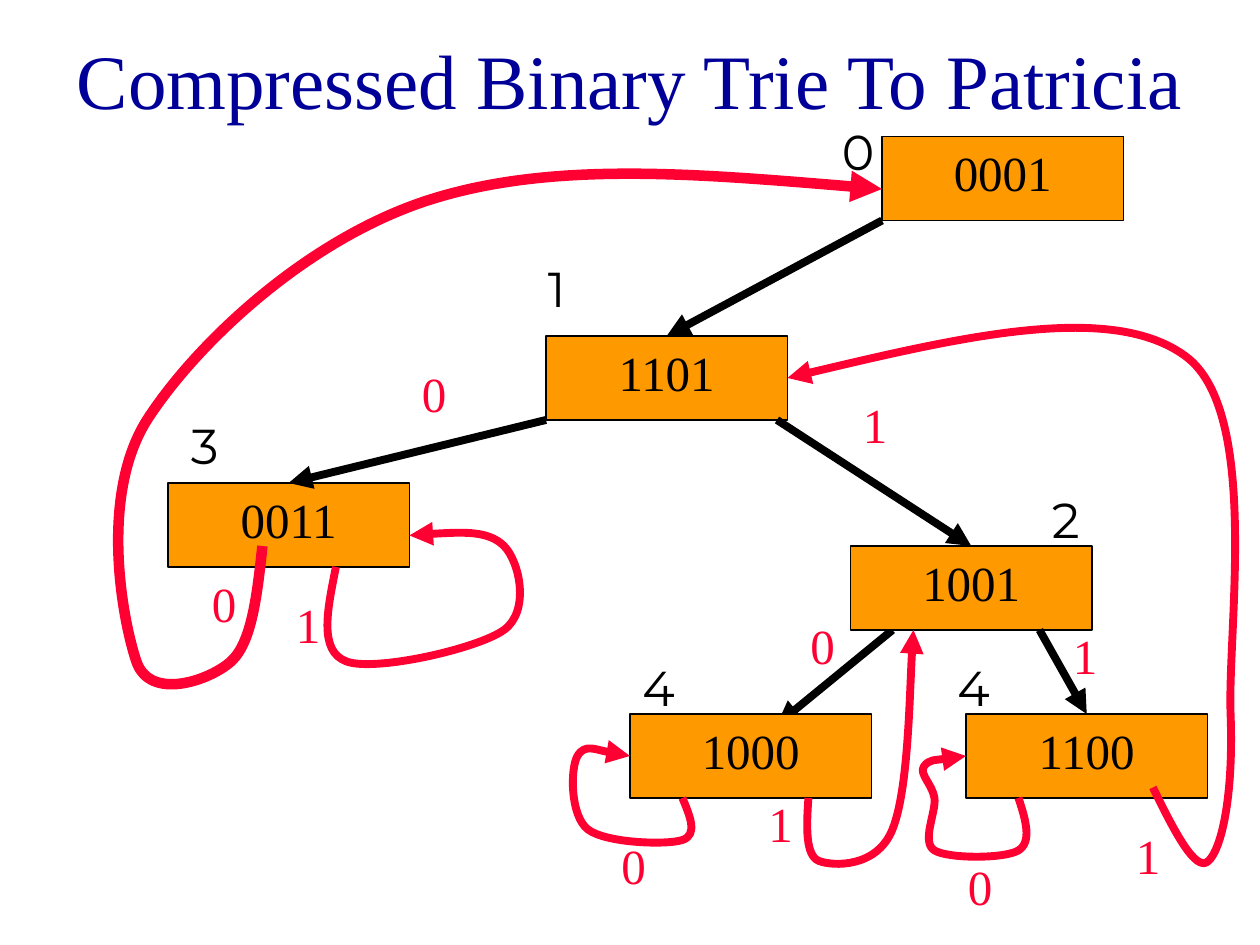
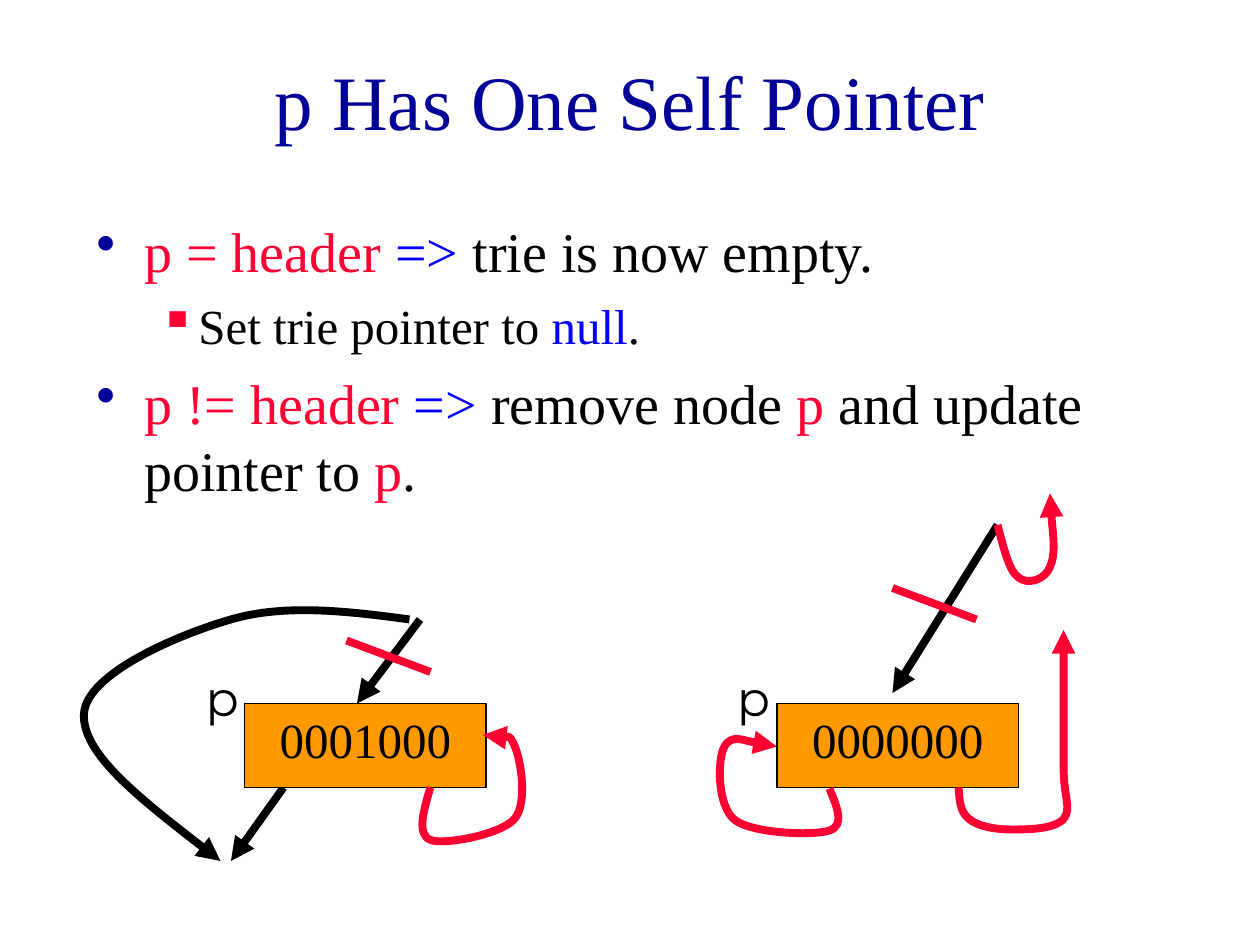
from dataclasses import dataclass

from lxml import etree
from pptx import Presentation, util as u
from pptx.dml.color import RGBColor
from pptx.enum import shapes, text
from pptx.oxml.ns import qn

WIDE, HIGH = u.Inches(10), u.Inches(7.5)
COL, ROW = WIDE / 120, HIGH / 90
NODE_W, NODE_H = 23, 8
SERIF, SANS = "Times New Roman", "Montserrat"
INK = {"title": "000099", "red": "FF0033", "blue": "0000FF",
       "black": "000000", "index": "010000", "node": "FF9900"}


@dataclass
class Node:
    """A key in a box; col and row are its top left corner."""
    key: str
    col: float
    row: float


@dataclass
class Label:
    word: str
    col: float
    row: float
    ink: str = "red"
    font: str = SERIF
    cols: float = 6


@dataclass
class Line:
    """A straight line; to is a point, or the key of a node to join on top."""
    start: tuple
    to: tuple | str
    ink: str = "black"
    head: bool = True


@dataclass
class Curve:
    """A start point, then three points for each cubic piece."""
    dots: list
    ink: str = "red"
    weight: float = 4.5


@dataclass
class Point:
    """A bullet paragraph; runs are (words, ink) pairs."""
    level: int
    runs: list


@dataclass
class Style:
    mark: str
    ink: str
    size: int
    indent: float
    hang: float
    gap: int


LEVELS = [Style("•", "title", 32, 0.38, 0.38, 8),
          Style("▪", "red", 28, 0.81, 0.31, 7)]


def index(word: str, col: float, row: float) -> Label:
    """The label naming a node or its bit number."""
    return Label(word, col, row, "index", SANS, 8)


def loop(dx: float = 0, dy: float = 0) -> Curve:
    """A pointer from the bottom of a node round to its left side."""
    dots = [(65, 76), (65.7, 77.7), (66.5, 79.5), (65, 80),
            (63.5, 80.5), (57.7, 80.3), (56, 79),
            (54.3, 77.7), (54.3, 73.2), (55, 72),
            (55.7, 70.8), (59.2, 72), (60, 72)]
    return Curve([(x + dx, y + dy) for x, y in dots])


def emu(col: float, row: float) -> tuple:
    return round(col * COL), round(row * ROW)


def color(ink: str) -> RGBColor:
    return RGBColor.from_string(INK[ink])


def add_run(para, words: str, size: float, ink: str, font: str = SERIF) -> None:
    run = para.add_run()
    run.text = words
    run.font.size, run.font.name = u.Pt(size), font
    run.font.color.rgb = color(ink)


def add_box(slide, col: float, row: float, cols: float, rows: float):
    """Add a wrapping text box and give its text frame."""
    frame = slide.shapes.add_textbox(*emu(col, row), *emu(cols, rows)).text_frame
    frame.word_wrap = True
    return frame


def add_title(slide, words: str, *area: float) -> None:
    frame = add_box(slide, *area)
    frame.vertical_anchor = text.MSO_ANCHOR.MIDDLE
    para = frame.paragraphs[0]
    para.alignment = text.PP_ALIGN.CENTER
    add_run(para, words, 44, "title")


def add_points(slide, points: list, *area: float) -> None:
    frame = add_box(slide, *area)
    for i, point in enumerate(points):
        para = frame.add_paragraph() if i else frame.paragraphs[0]
        style = LEVELS[point.level]
        para.level = point.level
        para.space_before = u.Pt(style.gap if i else 0)
        props = para._p.get_or_add_pPr()
        props.set("marL", str(u.Inches(style.indent)))
        props.set("indent", str(-u.Inches(style.hang)))
        tint = etree.SubElement(props, qn("a:buClr"))
        etree.SubElement(tint, qn("a:srgbClr"), val=INK[style.ink])
        etree.SubElement(props, qn("a:buChar"), char=style.mark)
        for words, ink in point.runs:
            add_run(para, words, style.size, ink)


def set_line(shape, ink: str, weight: float, head: bool) -> None:
    shape.line.color.rgb = color(ink)
    shape.line.width = u.Pt(weight)
    if head:
        etree.SubElement(shape.line._get_or_add_ln(), qn("a:tailEnd"), type="triangle")


def draw_node(slide, node: Node):
    box = slide.shapes.add_shape(shapes.MSO_SHAPE.RECTANGLE,
                                 *emu(node.col, node.row), *emu(NODE_W, NODE_H))
    box.shadow.inherit = False
    box.fill.solid()
    box.fill.fore_color.rgb = color("node")
    set_line(box, "black", 0.75, False)
    box.text_frame.vertical_anchor = text.MSO_ANCHOR.TOP
    para = box.text_frame.paragraphs[0]
    para.alignment = text.PP_ALIGN.CENTER
    add_run(para, node.key, 28, "black")
    return box


def draw_label(slide, label: Label) -> None:
    frame = add_box(slide, label.col, label.row, label.cols, 6.8)
    add_run(frame.paragraphs[0], label.word, 28, label.ink, label.font)


def draw_line(slide, line: Line, boxes: dict) -> None:
    joined = isinstance(line.to, str)
    end = line.start if joined else line.to
    link = slide.shapes.add_connector(shapes.MSO_CONNECTOR.STRAIGHT,
                                      *emu(*line.start), *emu(*end))
    if joined:
        link.end_connect(boxes[line.to], 0)
    set_line(link, line.ink, 4.5, line.head)
    etree.SubElement(link._element.spPr, qn("a:effectLst"))


def draw_curve(slide, curve: Curve) -> None:
    first, *rest = [emu(*dot) for dot in curve.dots]
    pen = slide.shapes.build_freeform(*first)
    pen.add_line_segments(rest, close=False)
    shape = pen.convert_to_shape()
    steps = list(shape._element.iter(qn("a:lnTo")))
    for trio in zip(*[iter(steps)] * 3):
        bend = etree.Element(qn("a:cubicBezTo"))
        trio[0].addprevious(bend)
        for step in trio:
            bend.append(step[0])
            step.getparent().remove(step)
    shape.fill.background()
    set_line(shape, curve.ink, curve.weight, True)
    shape.shadow.inherit = False


def draw(slide, items: list) -> None:
    """Draw the items from back to front."""
    boxes = {}
    for item in items:
        match item:
            case Node():
                boxes[item.key] = draw_node(slide, item)
            case Label():
                draw_label(slide, item)
            case Line():
                draw_line(slide, item, boxes)
            case Curve():
                draw_curve(slide, item)


TRIE = [
    Line((85, 60), (74, 69)),
    Node("0001", 84, 13), Node("1101", 52, 32), Node("0011", 16, 46),
    Node("1001", 81, 52), Node("1000", 60, 68), Node("1100", 92, 68),
    Line((84, 21), "1101"), Line((52, 40), "0011"),
    Line((74, 40), "1001"), Line((99, 60), "1100"),
    index("0", 79, 11), index("1", 51, 24), index("3", 17, 39),
    index("2", 99, 46), index("4", 60, 62), index("4", 90, 62),
    Label("0", 39, 34), Label("1", 81, 37), Label("0", 19, 54),
    Label("1", 27, 56), Label("0", 76, 58), Label("1", 101, 59),
    Label("0", 58, 79), Label("1", 72, 75), Label("0", 91, 81),
    Label("1", 107, 78),
    Curve([(25, 52), (24.5, 56.6), (24, 61.2), (22, 63),
           (20, 64.8), (14.3, 66.8), (13, 63),
           (11.7, 59.2), (9.4, 47.3), (14, 40),
           (18.7, 32.7), (29.3, 22.7), (41, 19),
           (52.7, 15.3), (68.3, 16.7), (84, 18)], weight=6),
    Curve([(109.8, 75), (111.8, 79.1), (113.9, 83.2), (115.1, 82),
           (116.3, 80.9), (117.5, 76), (117.2, 68),
           (116.9, 60), (120, 39.3), (113, 34),
           (106, 28.7), (90.5, 32.3), (75, 36)]),
    Curve([(32, 54), (31.2, 58), (30.3, 62), (33, 63),
           (35.7, 64), (45.5, 61.8), (48, 60),
           (50.5, 58.2), (49.5, 53.5), (48, 52),
           (46.5, 50.5), (42.7, 50.7), (39, 51)]),
    Curve([(97, 76), (97.7, 78.1), (98.3, 80.2), (97, 81),
           (95.7, 81.8), (90.3, 81.8), (89, 81),
           (87.7, 80.2), (89.2, 77.3), (89, 76),
           (88.8, 74.7), (87.5, 73.7), (88, 73),
           (88.5, 72.3), (91.3, 72.1), (92, 72)]),
    Curve([(77, 76), (76.8, 78.7), (76.7, 81.5), (78, 82),
           (79.3, 82.5), (83.5, 82.7), (85, 79),
           (86.5, 75.3), (86.7, 63.2), (87, 60)]),
    loop(),
]

POINTS = [
    Point(0, [("p = header ", "red"), ("=>", "blue"),
              (" trie is now empty.", "black")]),
    Point(1, [("Set trie pointer to ", "black"), ("null", "blue"), (".", "black")]),
    Point(0, [("p != header ", "red"), ("=>", "blue"), (" remove node ", "black"),
              ("p", "red"), (" and update pointer to ", "black"),
              ("p", "red"), (".", "black")]),
]

CUTS = [
    Line((27, 75), (22, 82)),
    Node("0001000", 23.3, 67), index("p", 18.4, 63),
    Line((40, 59), (34, 67)),
    Curve([(41, 75), (40.3, 77.3), (39.7, 79.5), (41, 80),
           (42.3, 80.5), (47.7, 79.5), (49, 78),
           (50.3, 76.5), (49.6, 72.3), (49, 71),
           (48.4, 69.7), (46.6, 70.2), (46, 70)]),
    Curve([(39, 59), (33.1, 58.2), (27.1, 57.5), (22, 59),
           (16.8, 60.5), (8.2, 64.2), (8, 68),
           (7.8, 71.8), (14.4, 76.9), (21, 82)], "black"),
    Line((33, 61), (41, 64), "red", False),
    Node("0000000", 74, 67), index("p", 69, 63),
    loop(14, -0.9),
    Line((95, 50), (85, 66)),
    Curve([(91.3, 75), (91.4, 76.2), (91.4, 77.3), (92.3, 78),
           (93.1, 78.7), (94.8, 79), (96.3, 79),
           (97.8, 79), (100.4, 79), (101.3, 78),
           (102.1, 77), (101.3, 76), (101.3, 73),
           (101.3, 70), (101.3, 62.2), (101.3, 60)]),
    Line((85, 56), (93, 59), "red", False),
    Curve([(95, 50), (95.6, 52.2), (96.1, 54.4), (97, 55),
           (97.8, 55.7), (99.5, 55.3), (100, 54),
           (100.6, 52.7), (100, 48.1), (100, 47)]),
]


def main() -> None:
    deck = Presentation()
    deck.slide_width, deck.slide_height = WIDE, HIGH
    blank = deck.slide_layouts[6]

    trie = deck.slides.add_slide(blank)
    add_title(trie, "Compressed Binary Trie To Patricia", 0, 2, 120, 11)
    draw(trie, TRIE)

    cuts = deck.slides.add_slide(blank)
    add_title(cuts, "p Has One Self Pointer", 9, 2, 102, 15)
    add_points(cuts, POINTS, 8, 20, 102, 33)
    draw(cuts, CUTS)
    deck.save("out.pptx")


if __name__ == "__main__":
    main()
